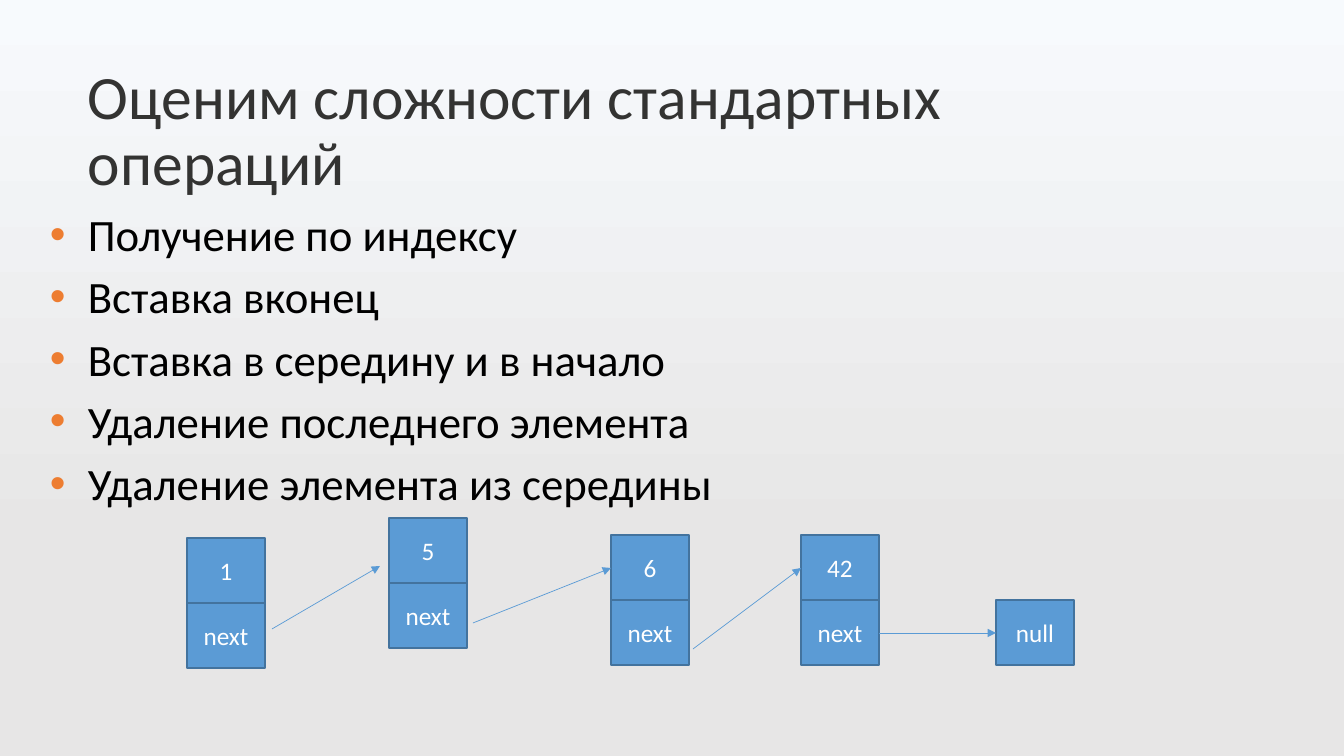
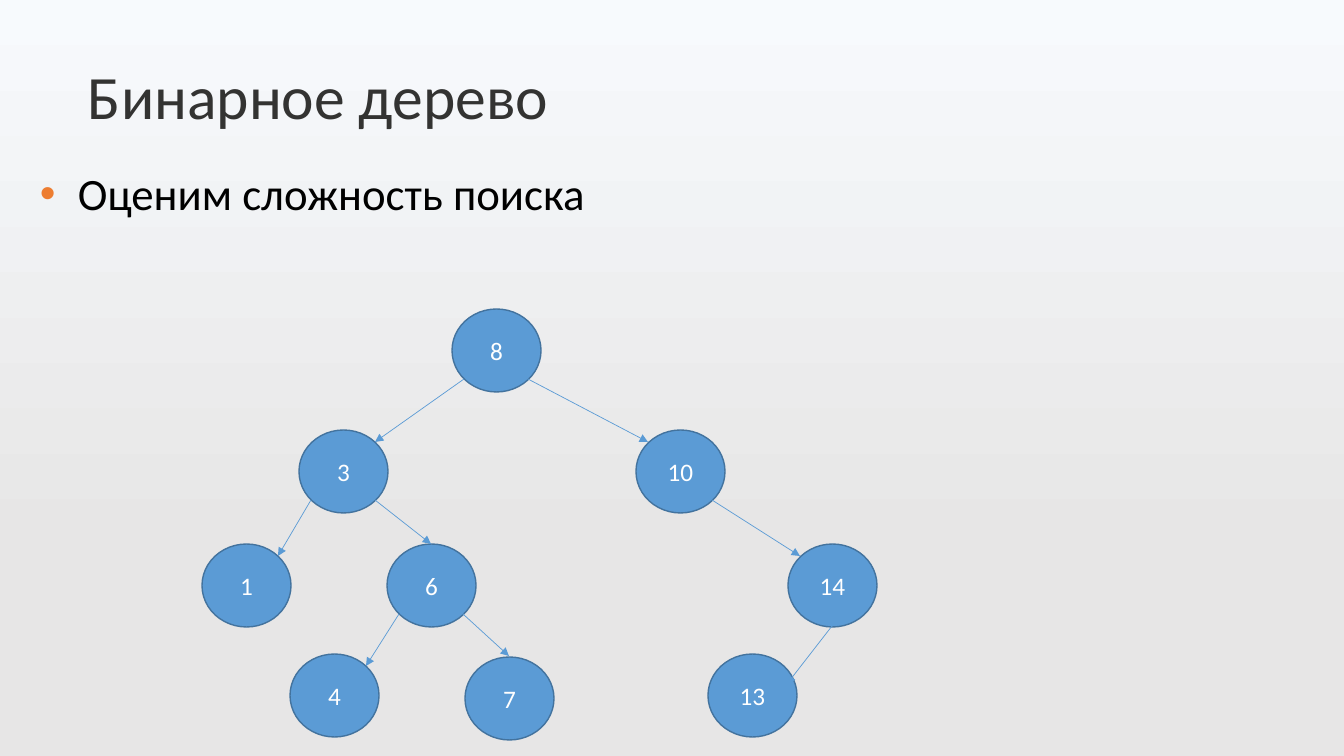
"""Builds two slides on the cost of linked list and binary tree operations."""
from dataclasses import dataclass

from lxml import etree
from pptx import Presentation
from pptx import util as u
from pptx.dml.color import RGBColor
from pptx.enum import shapes, text
from pptx.oxml.ns import qn

PX = 914400 / 100.8
DIAGONAL = 0.71
SITES = {
    "top": (0, -1),
    "bottom": (0, 1),
    "top left": (-DIAGONAL, -DIAGONAL),
    "top right": (DIAGONAL, -DIAGONAL),
    "bottom left": (-DIAGONAL, DIAGONAL),
    "bottom right": (DIAGONAL, DIAGONAL),
    "inside right": (0.79, -0.27),
}


@dataclass(frozen=True)
class Theme:
    """Colours, font and type sizes shared by the slides."""

    font: str = "Calibri"
    title: str = "333332"
    body: str = "000000"
    bullet: str = "ED7D31"
    node: str = "5B9BD5"
    outline: str = "43739E"
    label: str = "FFFFFF"
    backdrop: tuple = ((0, "F7FAFD"), (72, "E7E6E6"), (100, "E7E6E6"), (100, "CEE1F2"))
    title_size: int = 44
    body_size: int = 32
    label_size: int = 18
    outline_width: float = 1
    arrow_width: float = 0.5


THEME = Theme()


def px(length):
    """Turn pixels into EMU."""
    return u.Emu(round(length * PX))


def rgb(colour):
    """Turn a hex string into a colour."""
    return RGBColor.from_string(colour)


def add_run(paragraph, words, size, colour):
    """Add one run in the theme font."""
    run = paragraph.add_run()
    run.text = words
    run.font.name = THEME.font
    run.font.size = u.Pt(size)
    run.font.color.rgb = rgb(colour)


def set_backdrop(master):
    """Give the master a vertical gradient that every slide inherits."""
    fill = master.background.fill
    fill.gradient()
    fill.gradient_angle = 270
    stops = master.element.xpath(".//p:bg//a:gsLst")[0]
    for default in list(stops):
        stops.remove(default)
    for percent, colour in THEME.backdrop:
        stop = etree.SubElement(stops, qn("a:gs"), pos=str(percent * 1000))
        etree.SubElement(stop, qn("a:srgbClr"), val=colour)


def add_title(slide, words):
    """Add the slide title."""
    frame = slide.shapes.add_textbox(px(88), px(66), px(967), px(60)).text_frame
    frame.word_wrap = True
    frame.margin_left = frame.margin_right = frame.margin_top = frame.margin_bottom = 0
    heading = frame.paragraphs[0]
    heading.line_spacing = 0.9
    add_run(heading, words, THEME.title_size, THEME.title)


def add_bullets(slide, left, top, height, points):
    """Add a bulleted list with hanging indents."""
    frame = slide.shapes.add_textbox(px(left), px(top), px(1110), px(height)).text_frame
    frame.word_wrap = True
    frame.auto_size = text.MSO_AUTO_SIZE.SHAPE_TO_FIT_TEXT
    for index, point in enumerate(points):
        paragraph = frame.add_paragraph() if index else frame.paragraphs[0]
        paragraph.space_after = u.Pt(6)
        properties = paragraph._p.get_or_add_pPr()
        properties.set("marL", str(px(38)))
        properties.set("indent", str(px(-38)))
        colour = etree.SubElement(properties, qn("a:buClr"))
        etree.SubElement(colour, qn("a:srgbClr"), val=THEME.bullet)
        etree.SubElement(properties, qn("a:buFont"), typeface="Arial")
        etree.SubElement(properties, qn("a:buChar"), char="•")
        add_run(paragraph, point, THEME.body_size, THEME.body)


def add_node(slide, preset, left, top, width, height, label):
    """Add a filled shape with a centred label."""
    node = slide.shapes.add_shape(preset, px(left), px(top), px(width), px(height))
    node.shadow.inherit = False
    node.fill.solid()
    node.fill.fore_color.rgb = rgb(THEME.node)
    node.line.color.rgb = rgb(THEME.outline)
    node.line.width = u.Pt(THEME.outline_width)
    frame = node.text_frame
    frame.word_wrap = True
    frame.vertical_anchor = text.MSO_ANCHOR.MIDDLE
    frame.paragraphs[0].alignment = text.PP_ALIGN.CENTER
    add_run(frame.paragraphs[0], label, THEME.label_size, THEME.label)


def add_arrow(slide, start, end):
    """Add a thin straight arrow between two points."""
    ends = [px(length) for length in (*start, *end)]
    arrow = slide.shapes.add_connector(shapes.MSO_CONNECTOR.STRAIGHT, *ends)
    arrow.line.color.rgb = rgb(THEME.node)
    arrow.line.width = u.Pt(THEME.arrow_width)
    etree.SubElement(arrow.line._get_or_add_ln(), qn("a:tailEnd"), type="triangle")
    etree.SubElement(arrow._element.spPr, qn("a:effectLst"))


def add_linked_list(slide):
    """Draw the linked list, from its first cell to null."""
    width, height = 78, 65
    cells = [
        (187, 538, ("1", "next")),
        (389, 518, ("5", "next")),
        (611, 535, ("6", "next")),
        (801, 535, ("42", "next")),
        (996, 600, ("null",)),
    ]
    links = [
        ((272, 629), (380, 566)),
        ((473, 623), (611, 568)),
        ((693, 649), (801, 568)),
        ((879, 633), (996, 633)),
    ]
    for left, top, labels in cells:
        for row, label in enumerate(labels):
            add_node(slide, shapes.MSO_SHAPE.RECTANGLE, left, top + row * height,
                     width, height, label)
    for start, end in links:
        add_arrow(slide, start, end)


def add_tree(slide):
    """Draw the binary tree with an arrow from each parent to its children."""
    width, height = 89, 83
    centres = {
        8: (496, 350), 3: (343, 471), 1: (246, 585), 6: (431, 585), 4: (334, 695),
        7: (509, 698), 10: (680, 471), 14: (832, 585), 13: (752, 695),
    }
    branches = [
        (8, "bottom left", 3, "top right"),
        (3, "bottom left", 1, "top right"),
        (3, "bottom right", 6, "top"),
        (6, "bottom left", 4, "top right"),
        (6, "bottom right", 7, "top"),
        (8, "bottom right", 10, "top left"),
        (10, "bottom right", 14, "top left"),
        (14, "bottom", 13, "inside right"),
    ]

    def site(key, side):
        """Find a point on the rim of a tree node."""
        (x, y), (across, down) = centres[key], SITES[side]
        return round(x + across * width / 2), round(y + down * height / 2)

    for key, (x, y) in centres.items():
        add_node(slide, shapes.MSO_SHAPE.OVAL, x - width // 2, y - height // 2,
                 width, height, str(key))
    for parent, leaving, child, entering in branches:
        add_arrow(slide, site(parent, leaving), site(child, entering))


def main():
    """Build and save the presentation."""
    deck = Presentation()
    deck.slide_width, deck.slide_height = px(1344), px(756)
    set_backdrop(deck.slide_master)
    blank = deck.slide_layouts[6]

    operations = deck.slides.add_slide(blank)
    add_title(operations, "Оценим сложности стандартных операций")
    add_bullets(operations, 40, 202, 315, [
        "Получение по индексу",
        "Вставка вконец",
        "Вставка в середину и в начало",
        "Удаление последнего элемента",
        "Удаление элемента из середины",
    ])
    add_linked_list(operations)

    search = deck.slides.add_slide(blank)
    add_title(search, "Бинарное дерево")
    add_bullets(search, 30, 161, 65, ["Оценим сложность поиска"])
    add_tree(search)

    deck.save("out.pptx")


main()
